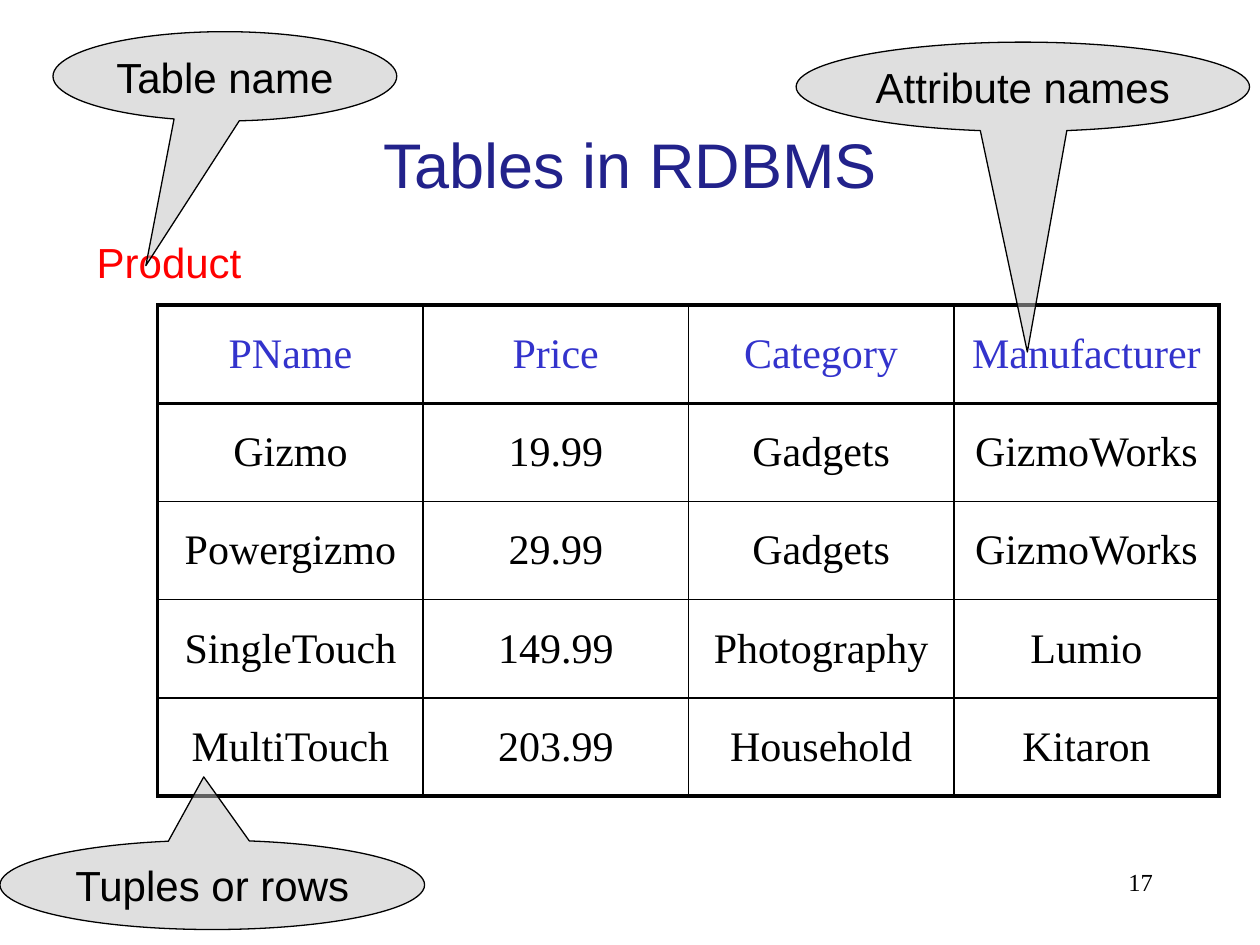
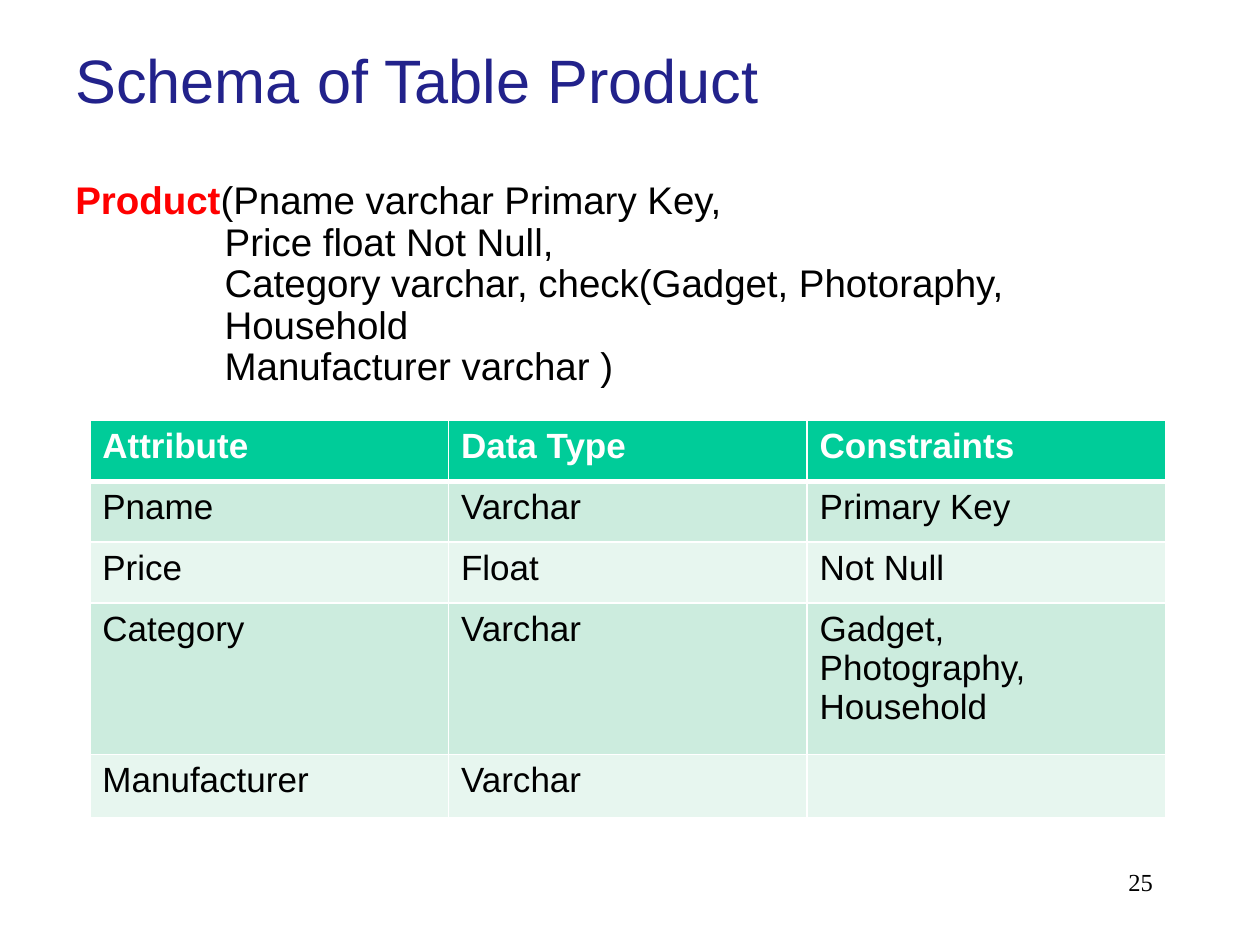
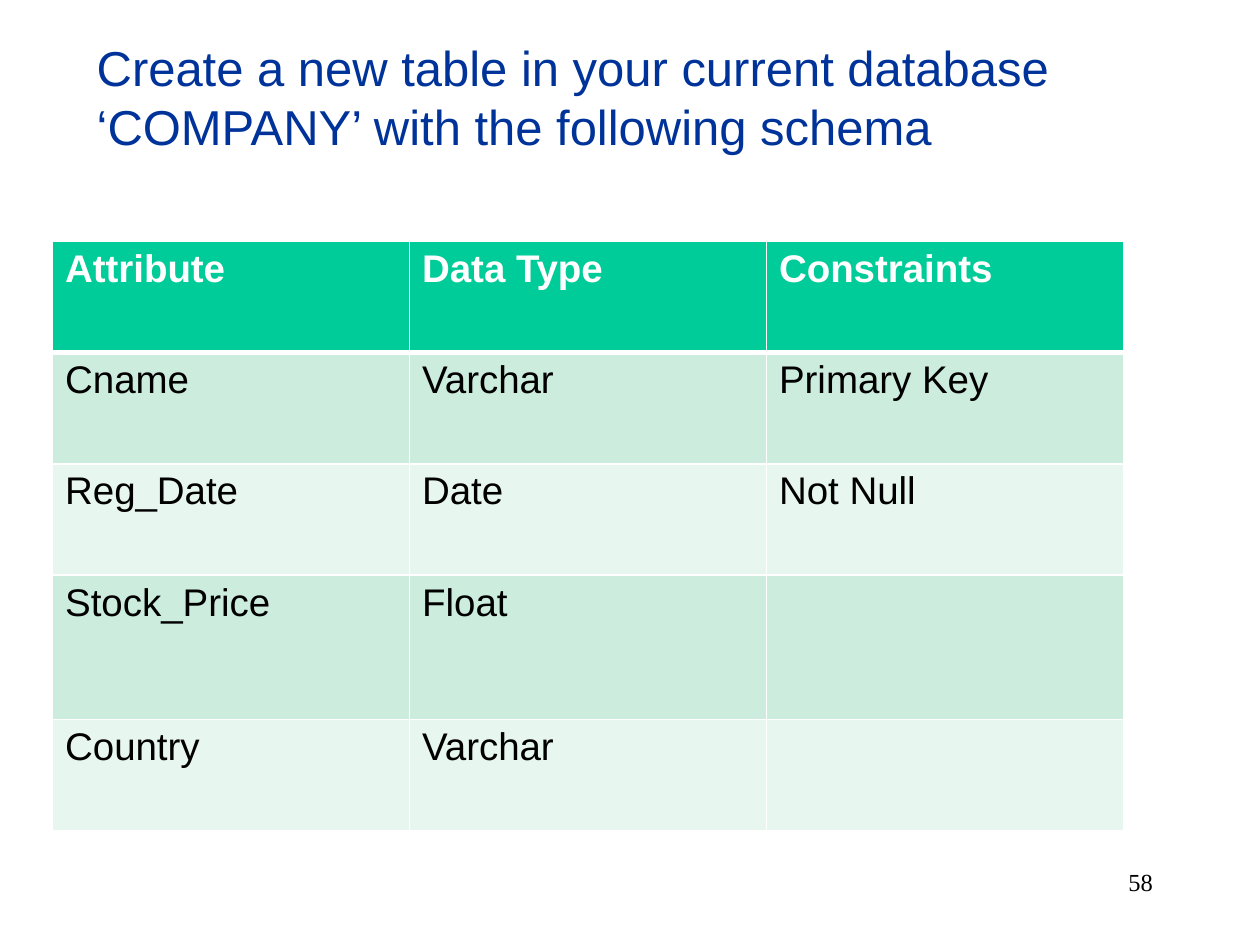
from lxml.etree import SubElement
from pptx import Presentation
from pptx.dml.color import RGBColor
from pptx.enum.shapes import MSO_SHAPE as Shape
from pptx.enum.text import MSO_ANCHOR as Anchor, PP_ALIGN as Align
from pptx.oxml import parse_xml
from pptx.oxml.ns import nsdecls, qn
from pptx.util import Cm, Pt

SANS, SERIF = "Arial", "Times New Roman"
BLACK, WHITE, RED = "000000", "FFFFFF", "FF0000"
TITLE_BLUE, TASK_BLUE, HEADER_BLUE = "22228B", "003399", "3333CC"
GREEN, BANDS = "00CC99", ("CCECDE", "E7F6EF")
CALLOUT_GREY = "C0C0C0"
PAGE_BOX = (18.21, 17.35, 5.28, 1.27)
SCHEMA_HEADER = ("Attribute", "Data Type", "Constraints")


def rgb(value):
    return RGBColor.from_string(value)


def write(frame, *paragraphs, size=24, font=SANS, color=BLACK, bold=False,
          align=Align.LEFT, anchor=Anchor.TOP, spacing=None, hanging=0, wrap=True):
    """Fill a frame; a paragraph is a string or a list of (text, run format) pairs.

    Paragraphs after the first are indented by hanging, in centimetres.
    """
    frame.word_wrap = wrap
    frame.vertical_anchor = anchor
    for index, content in enumerate(paragraphs):
        paragraph = frame.add_paragraph() if index else frame.paragraphs[0]
        paragraph.alignment = align
        if spacing:
            paragraph.line_spacing = spacing
        if index and hanging:
            paragraph._p.get_or_add_pPr().set("marL", str(Cm(hanging)))
        pieces = [(content, {})] if isinstance(content, str) else content
        for text, run_format in pieces:
            run = paragraph.add_run()
            run.text = text
            run.font.name = font
            run.font.size = Pt(size)
            run.font.bold = run_format.get("bold", bold)
            run.font.color.rgb = rgb(run_format.get("color", color))


def text_box(slide, box, *paragraphs, **text_format):
    frame = slide.shapes.add_textbox(*map(Cm, box)).text_frame
    write(frame, *paragraphs, **text_format)


def title(slide, box, text, **text_format):
    text_box(slide, box, text,
             **{"color": TITLE_BLUE, "anchor": Anchor.MIDDLE, **text_format})


def page_number(slide, number):
    text_box(slide, PAGE_BOX, str(number), size=14, font=SERIF, align=Align.RIGHT)


def callout(slide, box, text, tip):
    """Translucent speech bubble; tip is its point as fractions of the box from the centre."""
    bubble = slide.shapes.add_shape(Shape.OVAL_CALLOUT, *map(Cm, box))
    bubble.adjustments[0], bubble.adjustments[1] = tip
    bubble.shadow.inherit = False
    bubble.fill.solid()
    bubble.fill.fore_color.rgb = rgb(CALLOUT_GREY)
    fill_color = bubble._element.spPr.find(qn("a:solidFill"))[0]
    SubElement(fill_color, qn("a:alpha")).set("val", "50000")
    bubble.line.color.rgb = rgb(BLACK)
    bubble.line.width = Pt(0.75)
    write(bubble.text_frame, text, align=Align.CENTER, anchor=Anchor.MIDDLE, wrap=False)


def set_borders(cell, color, widths):
    """Draw the left, right, top and bottom edges, with widths in points."""
    properties = cell._tc.get_or_add_tcPr()
    for index, (side, width) in enumerate(zip("LRTB", widths)):
        properties.insert(index, parse_xml(
            f'<a:ln{side} {nsdecls("a")} w="{Pt(width)}"><a:solidFill>'
            f'<a:srgbClr val="{color}"/></a:solidFill></a:ln{side}>'))


def grid(slide, left, top, width, heights, rows, style_cell):
    """Add a table with equal columns; style_cell formats each cell from its row and column."""
    columns = len(rows[0])
    table = slide.shapes.add_table(len(rows), columns, Cm(left), Cm(top),
                                   Cm(width), Cm(sum(heights))).table
    table.first_row = table.horz_banding = False
    for column in table.columns:
        column.width = Cm(width / columns)
    for r, (height, values) in enumerate(zip(heights, rows)):
        table.rows[r].height = Cm(height)
        for c, value in enumerate(values):
            style_cell(table.cell(r, c), value, r, c)


def product_table(slide, left, top, width, heights, rows):
    last_row, last_column = len(rows) - 1, len(rows[0]) - 1

    def style_cell(cell, value, r, c):
        write(cell.text_frame, value, font=SERIF, color=BLACK if r else HEADER_BLUE,
              align=Align.CENTER)
        cell.vertical_anchor = Anchor.MIDDLE
        cell.fill.background()
        heavy = (c == 0, c == last_column, r <= 1, r in (0, last_row))
        set_borders(cell, BLACK, [2.25 if edge else 1 for edge in heavy])

    grid(slide, left, top, width, heights, rows, style_cell)


def schema_table(slide, left, top, width, heights, rows, size):
    def style_cell(cell, value, r, c):
        if value:
            write(cell.text_frame, value, size=size, bold=r == 0,
                  color=BLACK if r else WHITE)
        cell.fill.solid()
        cell.fill.fore_color.rgb = rgb(BANDS[(r - 1) % 2] if r else GREEN)
        set_borders(cell, WHITE, (1, 1, 3 if r == 1 else 1, 1 if r else 3))

    grid(slide, left, top, width, heights, [SCHEMA_HEADER, *rows], style_cell)


def tables_slide(slide):
    title(slide, (1.9, 1.7, 21.6, 3.18), "Tables in RDBMS", size=36, align=Align.CENTER)
    product_table(slide, 3.18, 6.15, 21.4, [1.98] * 5, [
        ("PName", "Price", "Category", "Manufacturer"),
        ("Gizmo", "19.99", "Gadgets", "GizmoWorks"),
        ("Powergizmo", "29.99", "Gadgets", "GizmoWorks"),
        ("SingleTouch", "149.99", "Photography", "Lumio"),
        ("MultiTouch", "203.99", "Household", "Kitaron"),
    ])
    text_box(slide, (1.7, 4.65, 3.45, 1.27), "Product", color=RED)
    for box, text, tip in (
        ((16.05, 0.85, 9.14, 1.8), "Attribute names", (0.01, 2.97)),
        ((1.07, 0.64, 6.93, 1.8), "Table name", (-0.23, 2.12)),
        ((0, 16.94, 8.56, 1.8), "Tuples or rows", (-0.02, -1.21)),
    ):
        callout(slide, box, text, tip)


def product_schema_slide(slide):
    title(slide, (1.27, 0.43, 22.86, 2.34), "Schema of Table Product", size=35)
    text_box(slide, (1.27, 3.53, 24, 4.4),
             [("Product", {"bold": True, "color": RED}),
              ("(Pname varchar Primary Key,", {})],
             "Price float Not Null,",
             "Category varchar, check(Gadget, Photoraphy,",
             "Household",
             "Manufacturer varchar )",
             size=22, spacing=0.9, hanging=3.01)
    schema_table(slide, 1.81, 8.47, 21.69, [1.23, 1.23, 1.23, 3.05, 1.27], [
        ("Pname", "Varchar", "Primary Key"),
        ("Price", "Float", "Not Null"),
        ("Category", "Varchar", "Gadget, Photography, Household"),
        ("Manufacturer", "Varchar", ""),
    ], size=20)


def company_schema_slide(slide):
    schema_table(slide, 1.06, 4.87, 21.59, [2.24, 2.24, 2.24, 2.91, 2.24], [
        ("Cname", "Varchar", "Primary Key"),
        ("Reg_Date", "Date", "Not Null"),
        ("Stock_Price", "Float", ""),
        ("Country", "Varchar", ""),
    ], size=22)
    title(slide, (1.7, 0.64, 23.06, 2.64),
          "Create a new table in your current database ‘COMPANY’ with the following schema",
          size=28, color=TASK_BLUE, anchor=Anchor.TOP)


def main():
    deck = Presentation()
    deck.slide_width, deck.slide_height = Cm(25.4), Cm(19.05)
    blank = deck.slide_layouts[6]
    for build, number in ((tables_slide, 17), (product_schema_slide, 25),
                          (company_schema_slide, 58)):
        slide = deck.slides.add_slide(blank)
        build(slide)
        page_number(slide, number)
    deck.save("out.pptx")


if __name__ == "__main__":
    main()
